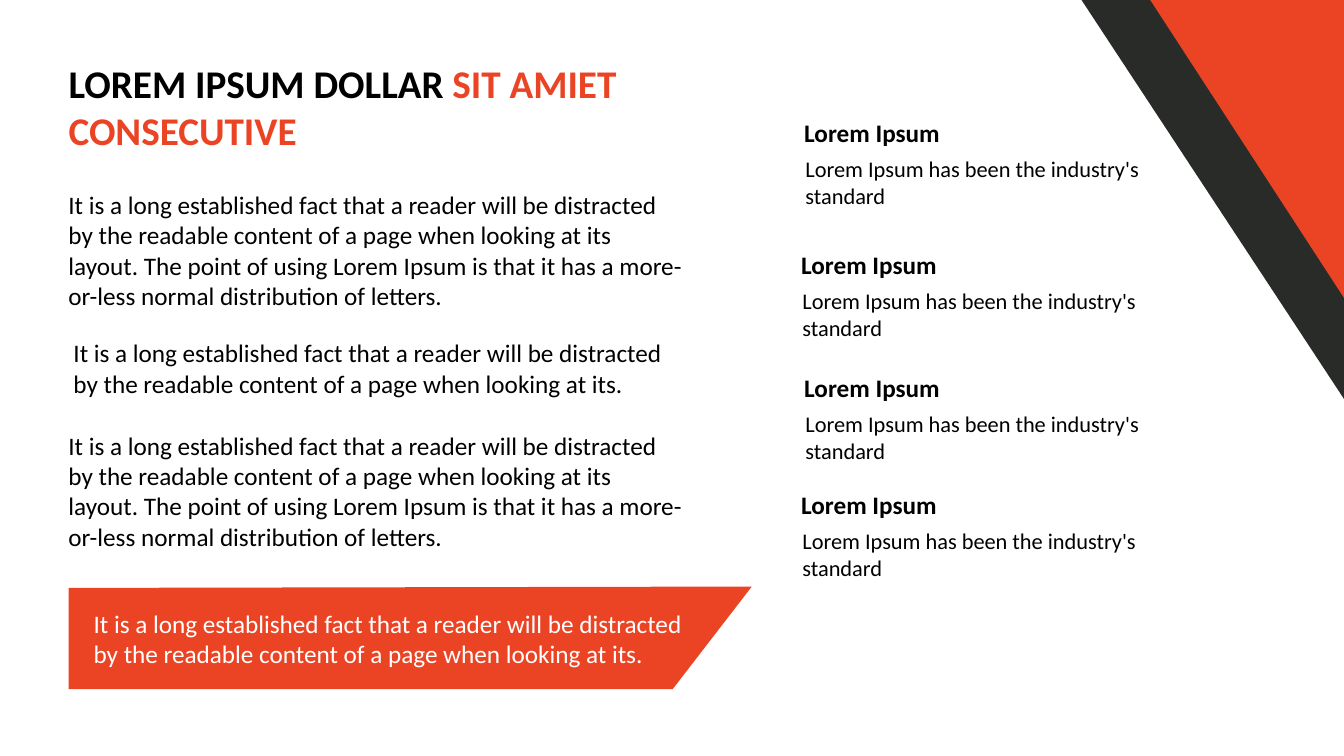
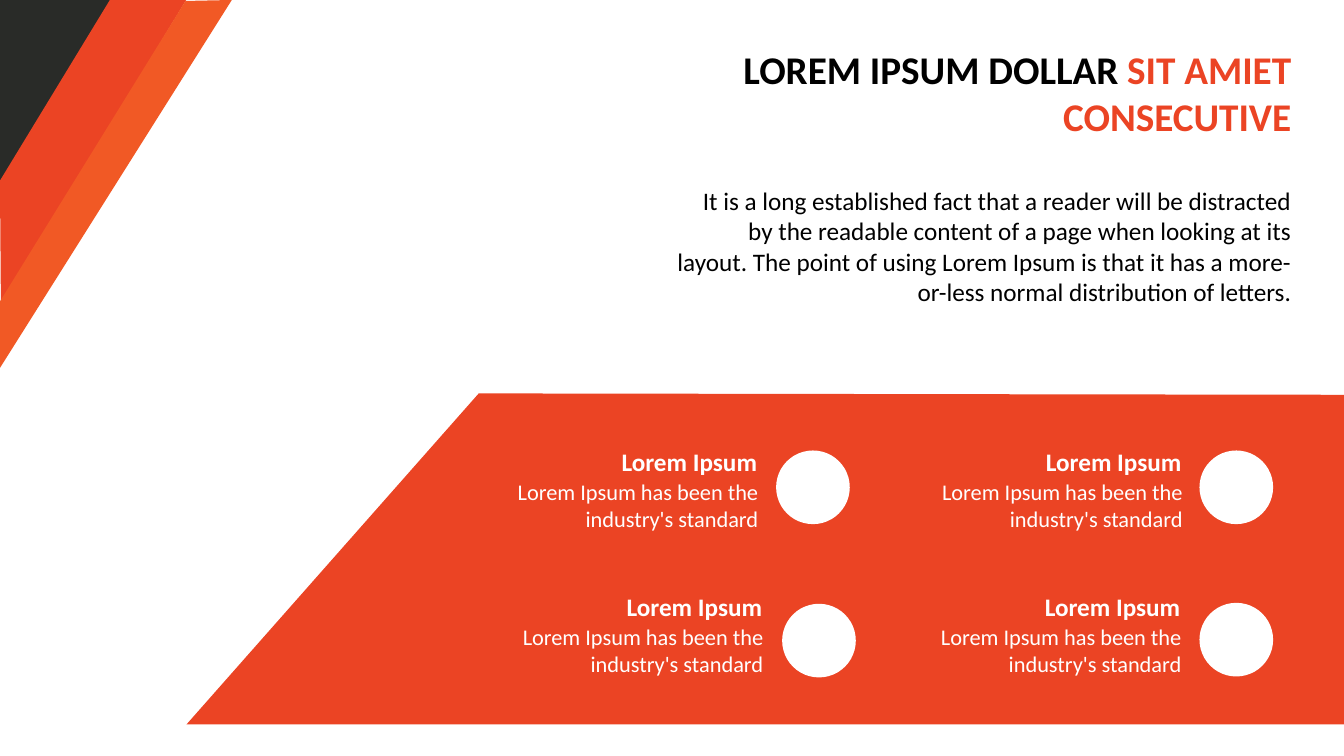
from dataclasses import dataclass

from pptx import Presentation
from pptx.dml.color import RGBColor
from pptx.enum.shapes import MSO_SHAPE as SHAPE
from pptx.enum.text import MSO_ANCHOR as ANCHOR, MSO_AUTO_SIZE as AUTO, PP_ALIGN as ALIGN
from pptx.util import Pt


@dataclass(frozen=True)
class Theme:
    font: str = "Calibri"
    red: str = "EB4424"
    orange: str = "F15925"
    dark: str = "292B28"
    black: str = "000000"
    white: str = "FFFFFF"
    title: int = 28
    body: int = 18
    small: int = 16


THEME = Theme()
WIDTH, HEIGHT = 960, 540
TITLE = [[("LOREM IPSUM DOLLAR ", THEME.black), ("SIT AMIET", THEME.red)],
         [("CONSECUTIVE", THEME.red)]]
FACT = "It is a long established fact that a reader will be distracted by the readable content of a page when looking at its"
SHORT_FACT = FACT + "."
LONG_FACT = (FACT + " layout. The point of using Lorem Ipsum is that it has a "
             "more-or-less normal distribution of letters.")
HEADING = "Lorem Ipsum"


def write(tf, paragraphs, size=THEME.body, color=THEME.black, bold=False, align=ALIGN.LEFT):
    tf.word_wrap = True
    tf.auto_size = AUTO.NONE
    tf.vertical_anchor = ANCHOR.TOP
    for i, runs in enumerate(paragraphs):
        p = tf.add_paragraph() if i else tf.paragraphs[0]
        p.alignment = align
        p.line_spacing = 1.0
        p.space_before = p.space_after = Pt(0)
        for text, run_color in [(runs, color)] if isinstance(runs, str) else runs:
            r = p.add_run()
            r.text = text
            r.font.name = THEME.font
            r.font.size = Pt(size)
            r.font.bold = bold
            r.font.color.rgb = RGBColor.from_string(run_color)


def add_text(s, x, y, w, h, *paragraphs, **style):
    box = s.shapes.add_textbox(Pt(x), Pt(y), Pt(w), Pt(h))
    write(box.text_frame, paragraphs, **style)


def add_titled_slide(prs, x, y, w, align):
    s = prs.slides.add_slide(prs.slide_layouts[5])
    sp = s.shapes.title
    sp.left, sp.top, sp.width, sp.height = Pt(x), Pt(y), Pt(w), Pt(75)
    write(sp.text_frame, TITLE, size=THEME.title, bold=True, align=align)
    return s


def paint(sp, color):
    sp.shadow.inherit = False
    sp.fill.solid()
    sp.fill.fore_color.rgb = RGBColor.from_string(color)
    sp.line.fill.background()


def add_polygon(s, color, *points):
    start, *rest = [(Pt(x), Pt(y)) for x, y in points]
    builder = s.shapes.build_freeform(*start)
    builder.add_line_segments(rest, close=True)
    paint(builder.convert_to_shape(), color)


def add_corner(s, color, x, y, w, h, rotation):
    box_w, box_h = (h, w) if rotation % 180 else (w, h)
    sp = s.shapes.add_shape(SHAPE.RIGHT_TRIANGLE, Pt(x + (w - box_w) / 2),
                            Pt(y + (h - box_h) / 2), Pt(box_w), Pt(box_h))
    sp.rotation = rotation
    paint(sp, color)


def add_circle(s, x, y, size=52.6):
    paint(s.shapes.add_shape(SHAPE.OVAL, Pt(x), Pt(y), Pt(size), Pt(size)), THEME.white)


def add_entry(s, x, y, w, lines, gap, **style):
    add_text(s, x, y, w, 29, HEADING, bold=True, **style)
    add_text(s, x + 0.9, y + gap, w, 46, *lines, size=THEME.small, **style)


def build_list_slide(prs):
    s = add_titled_slide(prs, 41.8, 38.9, 480, ALIGN.LEFT)
    add_corner(s, THEME.red, 820, 0, 140, 214, 180)
    add_polygon(s, THEME.dark, (772.5, 0), (821.5, 0), (WIDTH, 213), (WIDTH, 285))
    add_polygon(s, THEME.red, (49, 420), (537, 419), (480.5, 492.3), (49, 492.3))
    for x, y, h, text in [(41.8, 131.8, 94, LONG_FACT), (45.4, 237.6, 51, SHORT_FACT),
                          (41.8, 303.8, 94, LONG_FACT)]:
        add_text(s, x, y, 453.6, h, text)
    add_text(s, 59.8, 430.6, 455.8, 51, SHORT_FACT, color=THEME.white)
    lines = ["Lorem Ipsum has been the industry's", "standard"]
    for x, y in [(567.4, 79.9), (565.2, 174.4), (567.4, 262.1), (565.2, 345.6)]:
        add_entry(s, x, y, 260, lines, 27.4)


def build_panel_slide(prs):
    s = add_titled_slide(prs, 479.5, 28.8, 450, ALIGN.RIGHT)
    add_corner(s, THEME.dark, 0, 0, 80.6, 133.2, 90)
    add_polygon(s, THEME.red, (133, 0), (78.5, 0), (0, 129), (0.7, 218))
    add_polygon(s, THEME.orange, (165.6, 0), (132.5, 0.7), (0, 215.3), (0, 262.8))
    add_polygon(s, THEME.red, (WIDTH, 282), (342, 281), (133.2, 517.5), (WIDTH, 517.5))
    add_text(s, 475.9, 128.9, 453.6, 94, LONG_FACT, align=ALIGN.RIGHT)
    lines = ["Lorem Ipsum has been the", "industry's standard"]
    for right, y, circle_x, circle_y in [(547.9, 315.4, 554.4, 321.8), (551.5, 419, 558.7, 431.3),
                                         (851, 315.4, 856.8, 321.8), (850.2, 419, 856.8, 430.6)]:
        add_circle(s, circle_x, circle_y)
        add_entry(s, right - 200, y, 200, lines, 22.6, color=THEME.white, align=ALIGN.RIGHT)


def main():
    prs = Presentation()
    prs.slide_width, prs.slide_height = Pt(WIDTH), Pt(HEIGHT)
    build_list_slide(prs)
    build_panel_slide(prs)
    prs.save("out.pptx")


if __name__ == "__main__":
    main()
